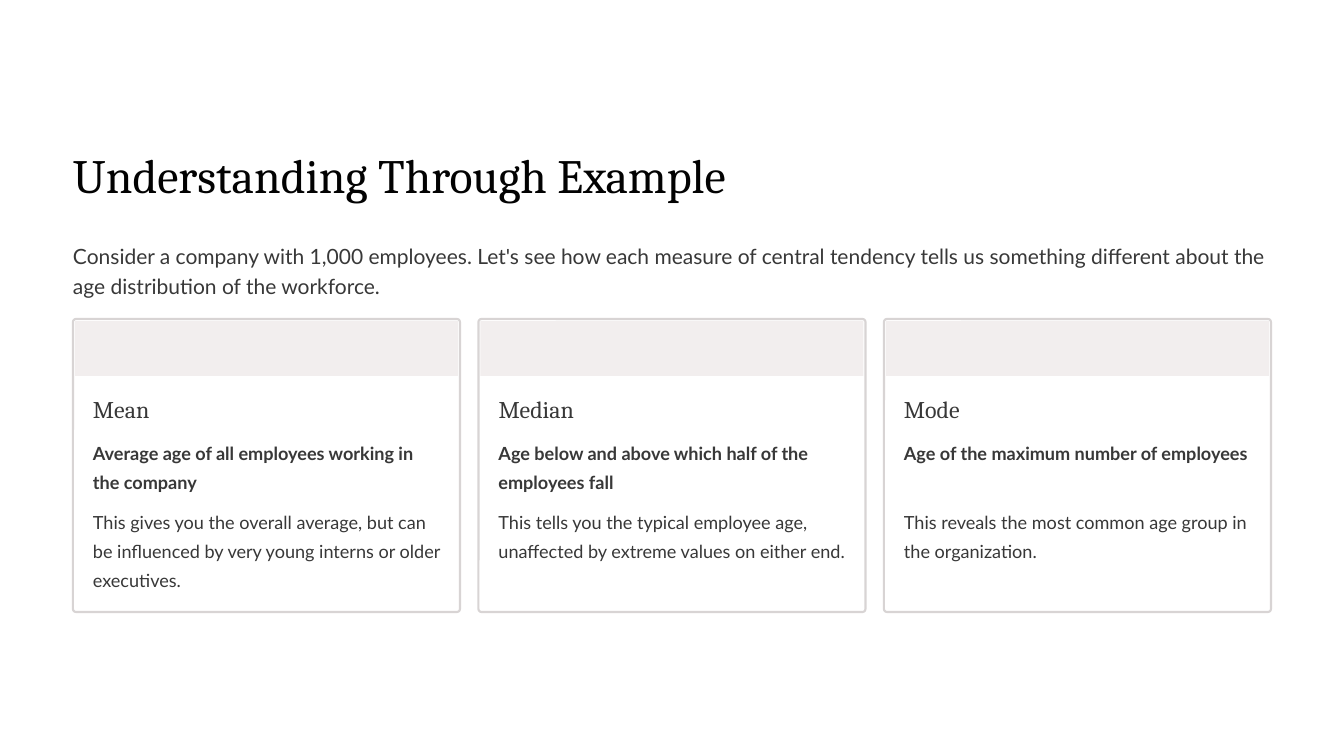
from lxml.etree import SubElement
from pptx import Presentation
from pptx.dml.color import RGBColor
from pptx.enum.shapes import MSO_SHAPE as Shape
from pptx.enum.text import MSO_ANCHOR as Anchor, MSO_AUTO_SIZE as AutoSize, PP_ALIGN as Align
from pptx.oxml.ns import qn
from pptx.util import Pt

TITLE = "Understanding Through Example"
INTRO = (
    "Consider a company with 1,000 employees. Let's see how each measure of central "
    "tendency tells us something different about the age distribution of the workforce."
)
CARDS = [
    ("Mean", "Average age of all employees working in the company",
     "This gives you the overall average, but can be influenced by very young interns or older executives."),
    ("Median", "Age below and above which half of the employees fall",
     "This tells you the typical employee age, unaffected by extreme values on either end."),
    ("Mode", "Age of the maximum number of employees",
     "This reveals the most common age group in the organization."),
]

SERIF, SANS = "Cambria", "Lato"
BLACK, INK, WHITE, BORDER, BAND = "020202", "383838", "FFFFFF", "D8D4D4", "F2EEEE"
PAGE_WIDTH, PAGE_HEIGHT = 1344, 756
MARGIN, CARD_TOP, CARD_WIDTH, CARD_HEIGHT = 73, 319, 387, 293
BAND_INSET, BAND_HEIGHT, TEXT_INSET = 2, 55, 20
CONTENT_WIDTH = PAGE_WIDTH - 2 * MARGIN
CARD_PITCH = (CONTENT_WIDTH - CARD_WIDTH) / (len(CARDS) - 1)
TEXT_WIDTH = CARD_WIDTH - 2 * TEXT_INSET


def px(length):
    return round(length * 914400 / 84)


def color(value):
    return RGBColor.from_string(value)


def place(shape, left, top, width, height):
    shape.left, shape.top, shape.width, shape.height = map(px, (left, top, width, height))


def write(shape, text, font, size, leading, ink=INK, bold=False):
    frame = shape.text_frame
    frame.text = text
    frame.word_wrap = True
    frame.auto_size = AutoSize.NONE
    frame.vertical_anchor = Anchor.TOP
    frame.margin_left = frame.margin_top = frame.margin_right = frame.margin_bottom = 0
    para = frame.paragraphs[0]
    para.alignment = Align.LEFT
    para.line_spacing = Pt(leading)
    para.space_before = Pt(0)
    span = para.runs[0].font
    span.name, span.size, span.bold = font, Pt(size), bold
    span.color.rgb = color(ink)


def add_text(page, bounds, *style, **options):
    box = page.shapes.add_textbox(*map(px, bounds))
    write(box, *style, **options)


def add_panel(page, bounds, fill, radius, border=None):
    panel = page.shapes.add_shape(Shape.ROUNDED_RECTANGLE, *map(px, bounds))
    panel.adjustments[0] = radius
    panel.shadow.inherit = False
    panel.fill.solid()
    panel.fill.fore_color.rgb = color(fill)
    if border:
        panel.line.color.rgb = color(border)
        panel.line.width = Pt(1.8)
    else:
        panel.line.fill.background()


def add_card(page, left, heading, summary, detail):
    add_panel(page, (left, CARD_TOP, CARD_WIDTH, CARD_HEIGHT), WHITE, 0.01, BORDER)
    add_panel(page, (left + BAND_INSET, CARD_TOP + BAND_INSET,
                     CARD_WIDTH - 2 * BAND_INSET, BAND_HEIGHT), BAND, 0)
    text_left = left + TEXT_INSET
    add_text(page, (text_left, 394, TEXT_WIDTH, 30), heading, SERIF, 20.5, 25.5)
    add_text(page, (text_left, 435, TEXT_WIDTH + 4, 58), summary, SANS, 15.5, 25, bold=True)
    add_text(page, (text_left, 504, TEXT_WIDTH + 4, 87), detail, SANS, 15.5, 25)


def main():
    deck = Presentation()
    deck.slide_width, deck.slide_height = px(PAGE_WIDTH), px(PAGE_HEIGHT)
    page = deck.slides.add_slide(deck.slide_layouts[1])
    page.background.fill.solid()
    page.background.fill.fore_color.rgb = color(WHITE)

    title, intro = page.placeholders
    place(title, MARGIN, 144, CONTENT_WIDTH, 60)
    write(title, TITLE, SERIF, 41, 51, BLACK)

    place(intro, MARGIN, 240, CONTENT_WIDTH, 58)
    intro.text_frame.text = INTRO
    write(intro, INTRO, SANS, 18, 25)
    properties = intro.text_frame.paragraphs[0]._p.get_or_add_pPr()
    properties.set("marL", "0")
    properties.set("indent", "0")
    SubElement(properties, qn("a:buNone"))

    for column, card in enumerate(CARDS):
        add_card(page, MARGIN + column * CARD_PITCH, *card)

    deck.save("out.pptx")


if __name__ == "__main__":
    main()
